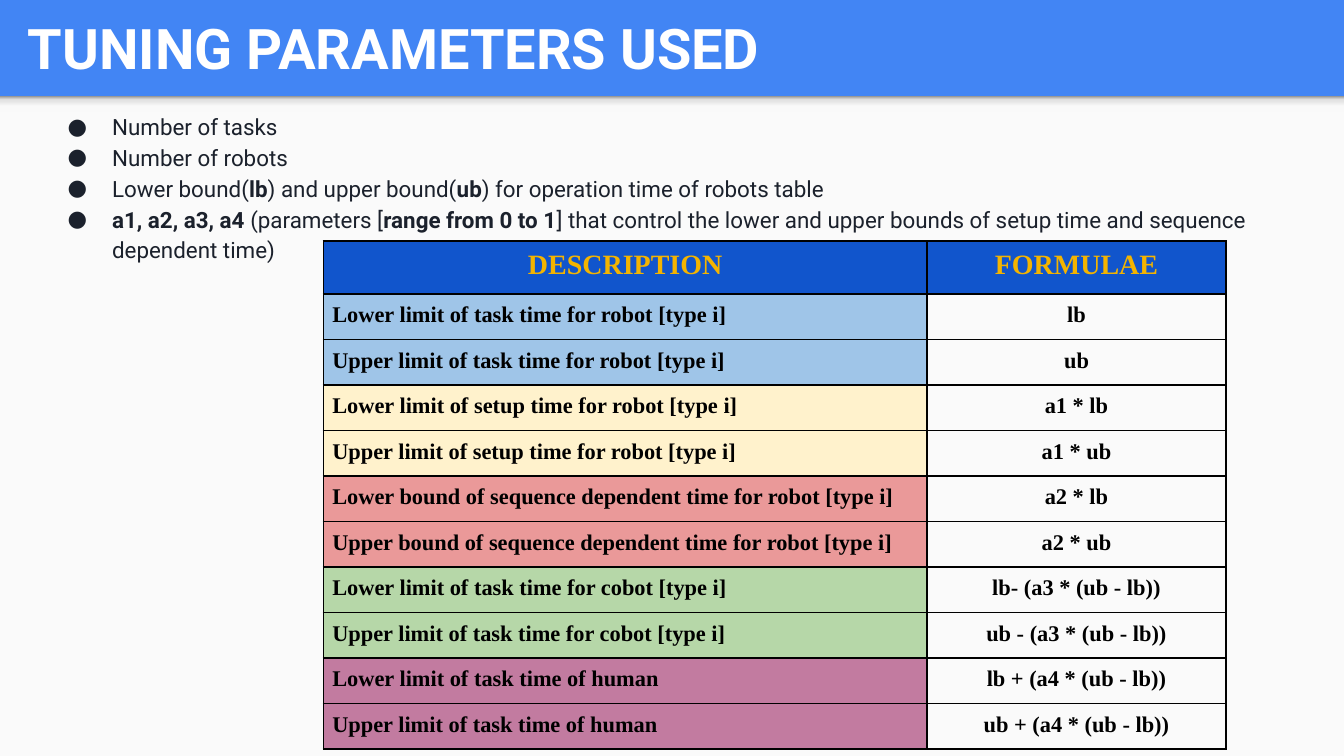
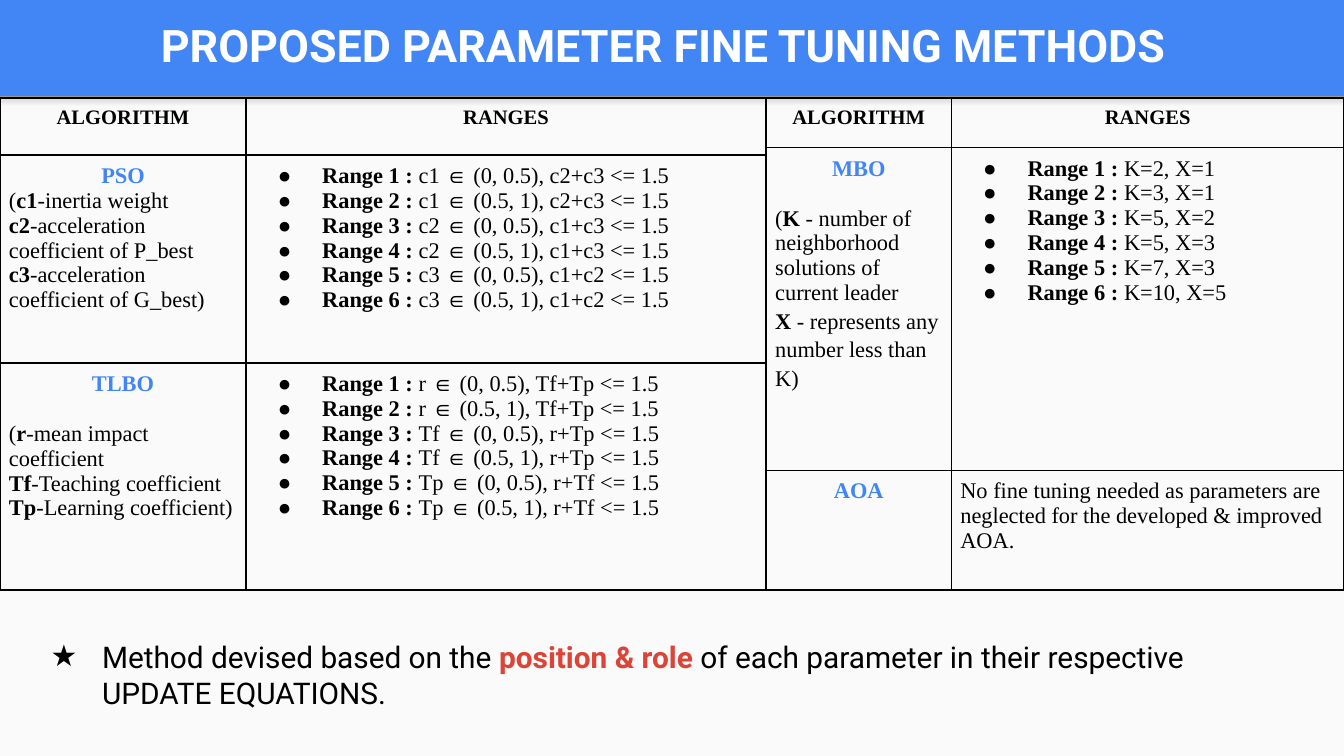
from lxml import etree
from pptx import Presentation
from pptx.dml.color import RGBColor
from pptx.enum import shapes, text
from pptx.oxml.ns import qn
from pptx.util import Cm, Pt

BLUE = RGBColor(0x42, 0x85, 0xF4)
PAPER = RGBColor(0xFA, 0xFA, 0xFA)
WHITE = RGBColor(0xFF, 0xFF, 0xFF)
BLACK = RGBColor(0x00, 0x00, 0x00)
INK = RGBColor(0x1B, 0x21, 0x2C)
RED = RGBColor(0xDB, 0x44, 0x37)
GOLD = RGBColor(0xF4, 0xB4, 0x00)
NAVY = RGBColor(0x11, 0x55, 0xCC)
SKY = RGBColor(0x9F, 0xC5, 0xE8)
CREAM = RGBColor(0xFF, 0xF2, 0xCC)
ROSE = RGBColor(0xEA, 0x99, 0x99)
GREEN = RGBColor(0xB6, 0xD7, 0xA8)
MAUVE = RGBColor(0xC2, 0x7B, 0xA0)

SANS, SERIF = "Roboto", "Times New Roman"
LEFT, CENTER = text.PP_ALIGN.LEFT, text.PP_ALIGN.CENTER
WIDTH, HEIGHT, BAND = 25.4, 14.29, 1.82
SHADOW_STOPS = [(0, "F9F9F9"), (36, "F9F9F9"), (80, "DEDEDE"), (100, "999999")]


def write(frame, lines, font=SERIF, size=12, color=BLACK, align=LEFT,
          bullet=None, hang=0.84, spacing=None, after=None, bold_color=None):
    """Append lines to a frame; the parts between bars are bold."""
    frame.word_wrap = True
    for line in lines:
        paragraph = frame.add_paragraph() if frame.text else frame.paragraphs[0]
        paragraph.alignment = align
        if bullet:
            props = paragraph._p.get_or_add_pPr()
            props.set("marL", str(Cm(1.27)))
            props.set("indent", str(-Cm(hang)))
            tint = etree.SubElement(props, qn("a:buClr"))
            etree.SubElement(tint, qn("a:srgbClr"), val=str(color))
            etree.SubElement(props, qn("a:buFont"), typeface=font)
            etree.SubElement(props, qn("a:buChar"), char=bullet)
        if spacing:
            paragraph.line_spacing = spacing
        if after:
            paragraph.space_after = Pt(after)
        for position, part in enumerate(line.split("|")):
            if part:
                run = paragraph.add_run()
                run.text = part
                run.font.name, run.font.size = font, Pt(size)
                run.font.bold = position % 2 == 1
                run.font.color.rgb = (bold_color or color) if run.font.bold else color


def add_grid(slide, left, top, widths, heights):
    """Add an unfilled table with thin black borders."""
    table = slide.shapes.add_table(len(heights), len(widths), Cm(left), Cm(top),
                                   Cm(sum(widths)), Cm(sum(heights))).table
    table.first_row = table.horz_banding = False
    for column, width in zip(table.columns, widths):
        column.width = Cm(width)
    for row, height in zip(table.rows, heights):
        row.height = Cm(height)
    for cell in table.iter_cells():
        cell.margin_left = cell.margin_right = Cm(0.17)
        cell.margin_top = cell.margin_bottom = Cm(0.16)
        props = cell._tc.get_or_add_tcPr()
        for side in ("a:lnL", "a:lnR", "a:lnT", "a:lnB"):
            border = etree.SubElement(props, qn(side), w=str(Pt(1)))
            solid = etree.SubElement(border, qn("a:solidFill"))
            etree.SubElement(solid, qn("a:srgbClr"), val=str(BLACK))
        cell.fill.background()
    return table


prs = Presentation()
prs.slide_width, prs.slide_height = Cm(WIDTH), Cm(HEIGHT)

# Shared background, panel, panel shadow and title
slides = []
for title, size, top, align in [
    ("TUNING PARAMETERS USED", 30, 0.05, LEFT),
    ("PROPOSED PARAMETER FINE TUNING METHODS", 24, 0, CENTER),
]:
    slide = prs.slides.add_slide(prs.slide_layouts[6])
    slide.background.fill.solid()
    slide.background.fill.fore_color.rgb = BLUE
    panel, strip = [
        slide.shapes.add_shape(shapes.MSO_SHAPE.RECTANGLE, 0, Cm(BAND), Cm(WIDTH), Cm(height))
        for height in (HEIGHT - BAND, 0.3)
    ]
    for part in (panel, strip):
        part.shadow.inherit = False
        part.line.fill.background()
    panel.fill.solid()
    panel.fill.fore_color.rgb = PAPER
    strip.fill.gradient()
    strip.fill.gradient_angle = 90
    stops = strip._element.spPr.find(qn("a:gradFill")).find(qn("a:gsLst"))
    for stop in list(stops):
        stops.remove(stop)
    for percent, shade in SHADOW_STOPS:
        stop = etree.SubElement(stops, qn("a:gs"), pos=str(percent * 1000))
        etree.SubElement(stop, qn("a:srgbClr"), val=shade)

    heading = slide.shapes.add_textbox(Cm(0.28), Cm(top), Cm(24.5), Cm(1.68)).text_frame
    heading.margin_top = heading.margin_bottom = Cm(0.25)
    heading.vertical_anchor = text.MSO_ANCHOR.MIDDLE
    write(heading, [f"|{title}|"], SANS, size, WHITE, align)
    slides.append(slide)
parameters_slide, methods_slide = slides

# Slide 1: parameters and their formulae
parameters = parameters_slide.shapes.add_textbox(Cm(0.6), Cm(1.81), Cm(23.67), Cm(3.38)).text_frame
parameters.margin_top = parameters.margin_bottom = Cm(0.25)
write(parameters, [
    "Number of tasks",
    "Number of robots",
    "Lower bound(|lb|) and upper bound(|ub|) for operation time of robots table",
    "|a1, a2, a3, a4| (parameters [|range from 0 to 1|] that control the lower and upper "
    "bounds of setup time and sequence dependent time)",
], SANS, color=INK, bullet="●", spacing=1.15)

limits = [
    ("limit of task time for robot [type i]", SKY, "lb", "ub"),
    ("limit of setup time for robot [type i]", CREAM, "a1 * lb", "a1 * ub"),
    ("bound of sequence dependent time for robot [type i]", ROSE, "a2 * lb", "a2 * ub"),
    ("limit of task time for cobot [type i]", GREEN,
     "lb- (a3 * (ub - lb))", "ub - (a3 * (ub - lb))"),
    ("limit of task time of human", MAUVE,
     "lb + (a4 * (ub - lb))", "ub + (a4 * (ub - lb))"),
]
formulae = add_grid(parameters_slide, 6.11, 4.56, [11.41, 5.65], [1.0] + [0.86] * 10)
for column, label in enumerate(["DESCRIPTION", "FORMULAE"]):
    cell = formulae.cell(0, column)
    cell.fill.solid()
    cell.fill.fore_color.rgb = NAVY
    write(cell.text_frame, [f"|{label}|"], size=15, color=GOLD, align=CENTER)
for pair, (subject, tint, lower, upper) in enumerate(limits):
    for offset, (end, formula) in enumerate([("Lower", lower), ("Upper", upper)]):
        row = 1 + 2 * pair + offset
        description = formulae.cell(row, 0)
        description.fill.solid()
        description.fill.fore_color.rgb = tint
        write(description.text_frame, [f"|{end} {subject}|"])
        write(formulae.cell(row, 1).text_frame, [f"|{formula}|"], align=CENTER)

# Slide 2: algorithms and their ranges
RIGHT_LEFT, RIGHT_WIDTHS = 14.48, [3.5, 7.42]
left_grid = add_grid(methods_slide, 0, 1.85, [4.65, 9.83], [1.08, 3.93, 4.29])
aoa_grid = add_grid(methods_slide, RIGHT_LEFT, 8.89, RIGHT_WIDTHS, [2.26])
mbo_grid = add_grid(methods_slide, RIGHT_LEFT, 2.79, RIGHT_WIDTHS, [6.1])
right_header = add_grid(methods_slide, RIGHT_LEFT, 1.85, RIGHT_WIDTHS, [0.94])

for grid in (left_grid, right_header):
    for column, label in enumerate(["ALGORITHM", "RANGES"]):
        write(grid.cell(0, column).text_frame, [f"|{label}|"], size=11, align=CENTER)

algorithms = [
    (left_grid, 1, "PSO", None,
     ["(|c1|-inertia weight", "|c2|-acceleration coefficient of P_best",
      "|c3|-acceleration coefficient of G_best)"],
     [f"{name} ∈ {span}, {rest} <= 1.5"
      for name, rest in [("c1", "c2+c3"), ("c2", "c1+c3"), ("c3", "c1+c2")]
      for span in ("(0, 0.5)", "(0.5, 1)")]),
    (left_grid, 2, "TLBO", 13.5,
     ["(|r|-mean impact coefficient", "|Tf|-Teaching coefficient",
      "|Tp|-Learning coefficient)"],
     [f"{name} ∈ {span}, {rest} <= 1.5"
      for name, rest in [("r", "Tf+Tp"), ("Tf", "r+Tp"), ("Tp", "r+Tf")]
      for span in ("(0, 0.5)", "(0.5, 1)")]),
    (mbo_grid, 0, "MBO", 13.5,
     ["(|K |- number of neighborhood solutions of current leader"],
     [f"K={k}, X={x}" for k, x in [(2, 1), (3, 1), (5, 2), (5, 3), (7, 3), (10, 5)]]),
    (aoa_grid, 0, "AOA", None, [], []),
]
for grid, row, name, gap, details, ranges in algorithms:
    algorithm = grid.cell(row, 0).text_frame
    write(algorithm, [f"|{name}|"], color=BLUE, align=CENTER, after=gap)
    write(algorithm, details)
    write(grid.cell(row, 1).text_frame,
          [f"|Range {number} : |{rule}" for number, rule in enumerate(ranges, 1)], bullet="●")
write(mbo_grid.cell(0, 0).text_frame, ["|X| - represents any number less than K)"], spacing=1.15)
write(aoa_grid.cell(0, 1).text_frame,
      ["No fine tuning needed as parameters are neglected for the developed & improved AOA."])

method = methods_slide.shapes.add_textbox(Cm(0.41), Cm(11.83), Cm(24.26), Cm(1.96)).text_frame
method.margin_top = method.margin_bottom = Cm(0.25)
write(method, ["Method devised based on the |position & role| of each parameter in their "
               "respective UPDATE EQUATIONS."],
      SANS, 16, bullet="★", hang=0.97, bold_color=RED)

prs.save("out.pptx")
